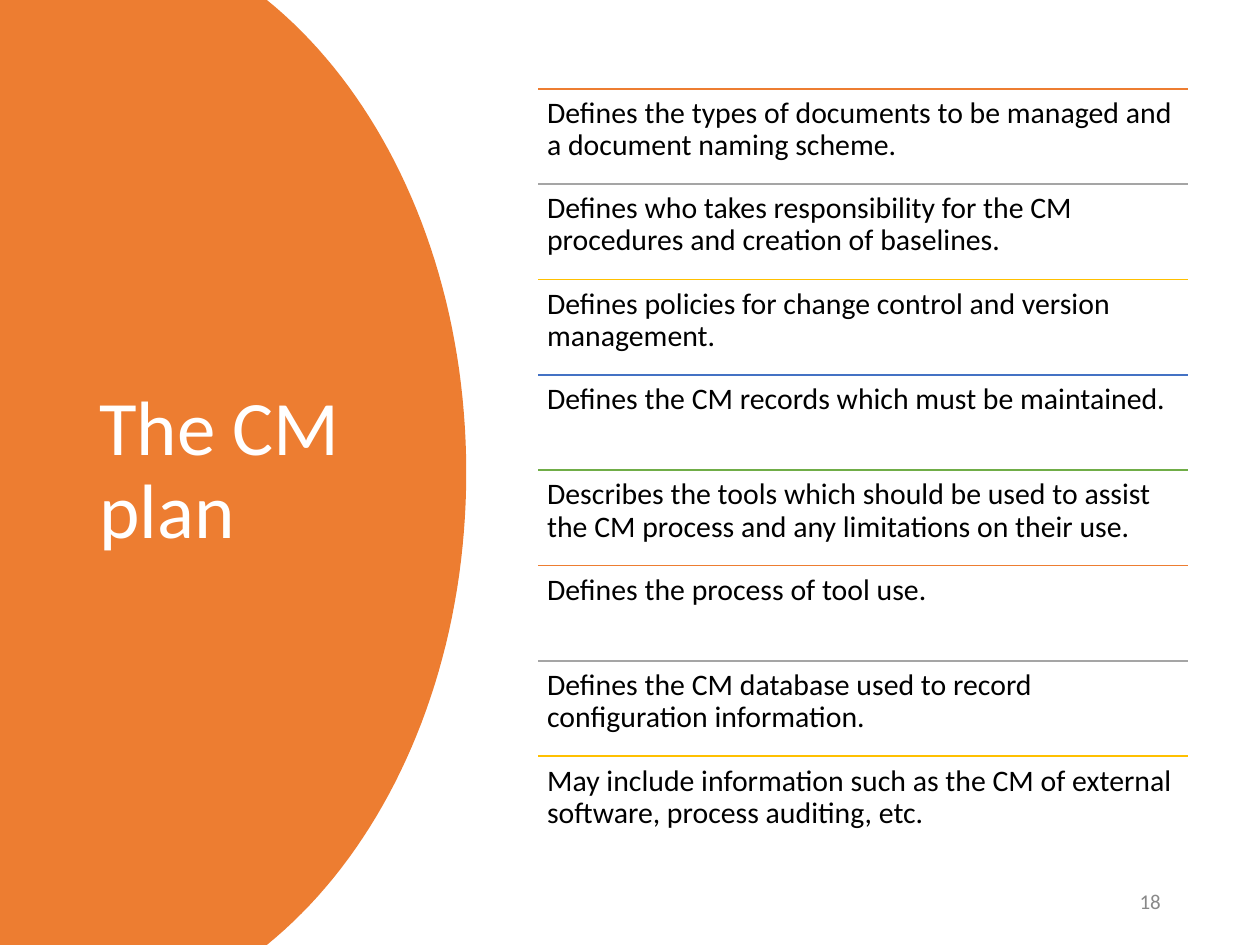
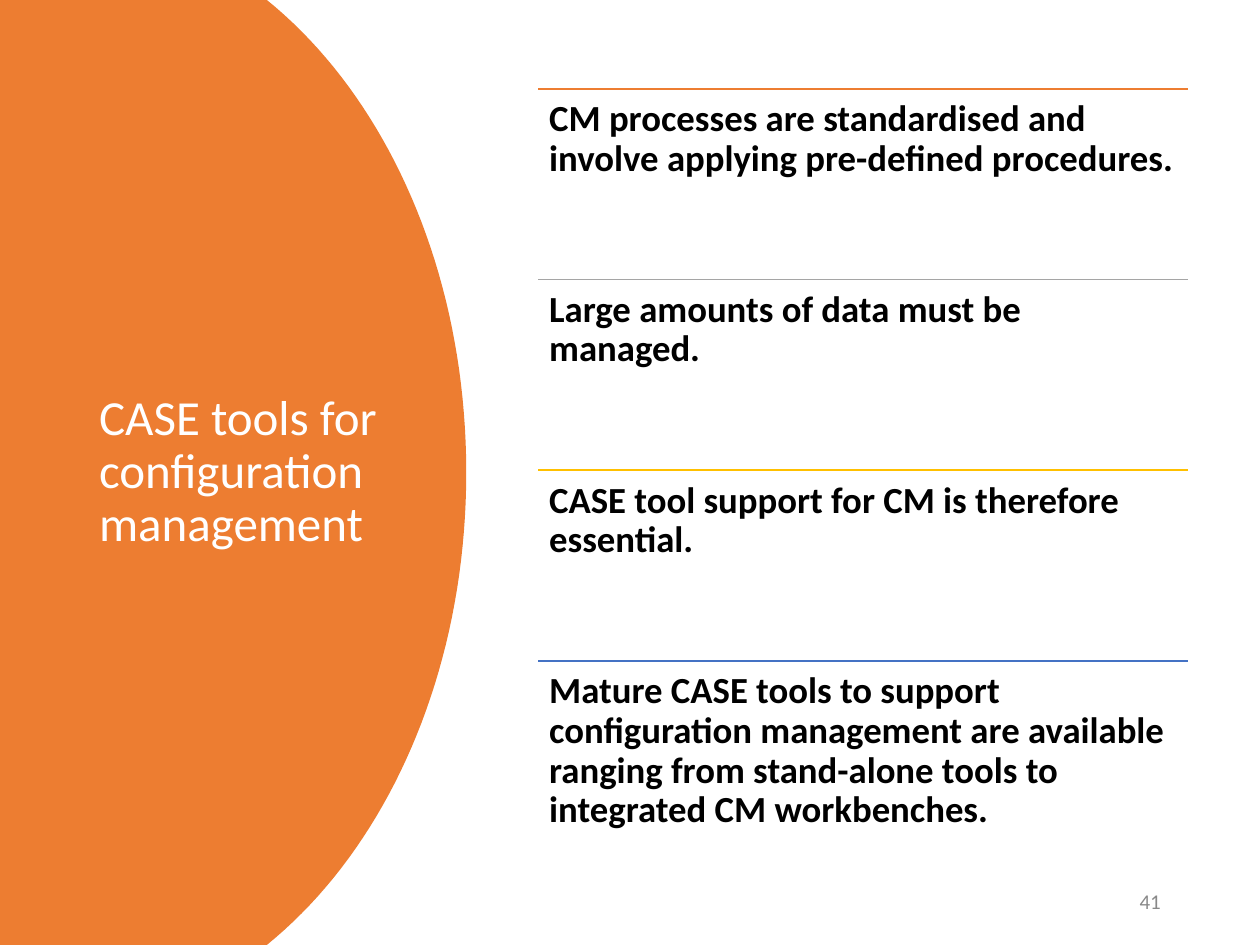
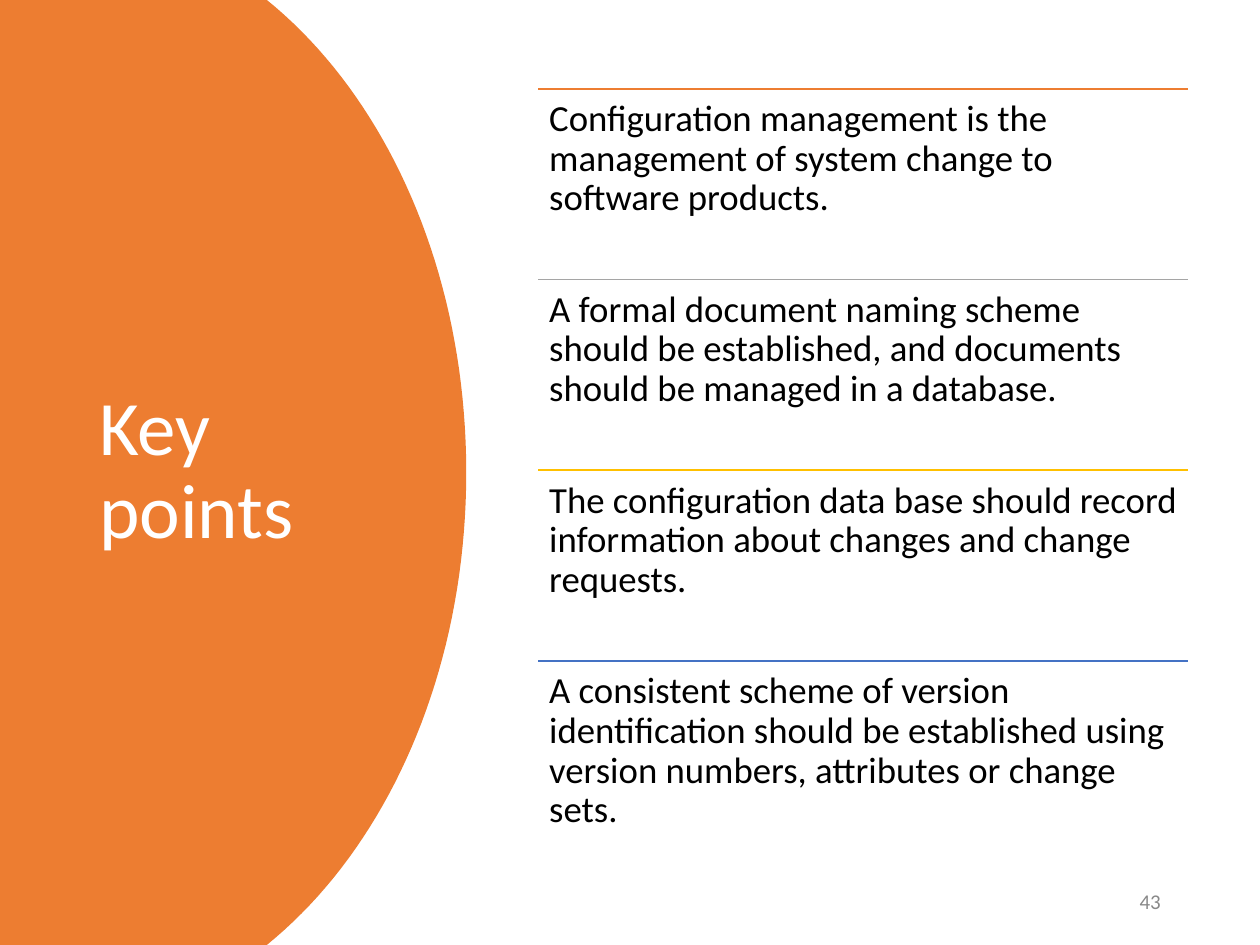
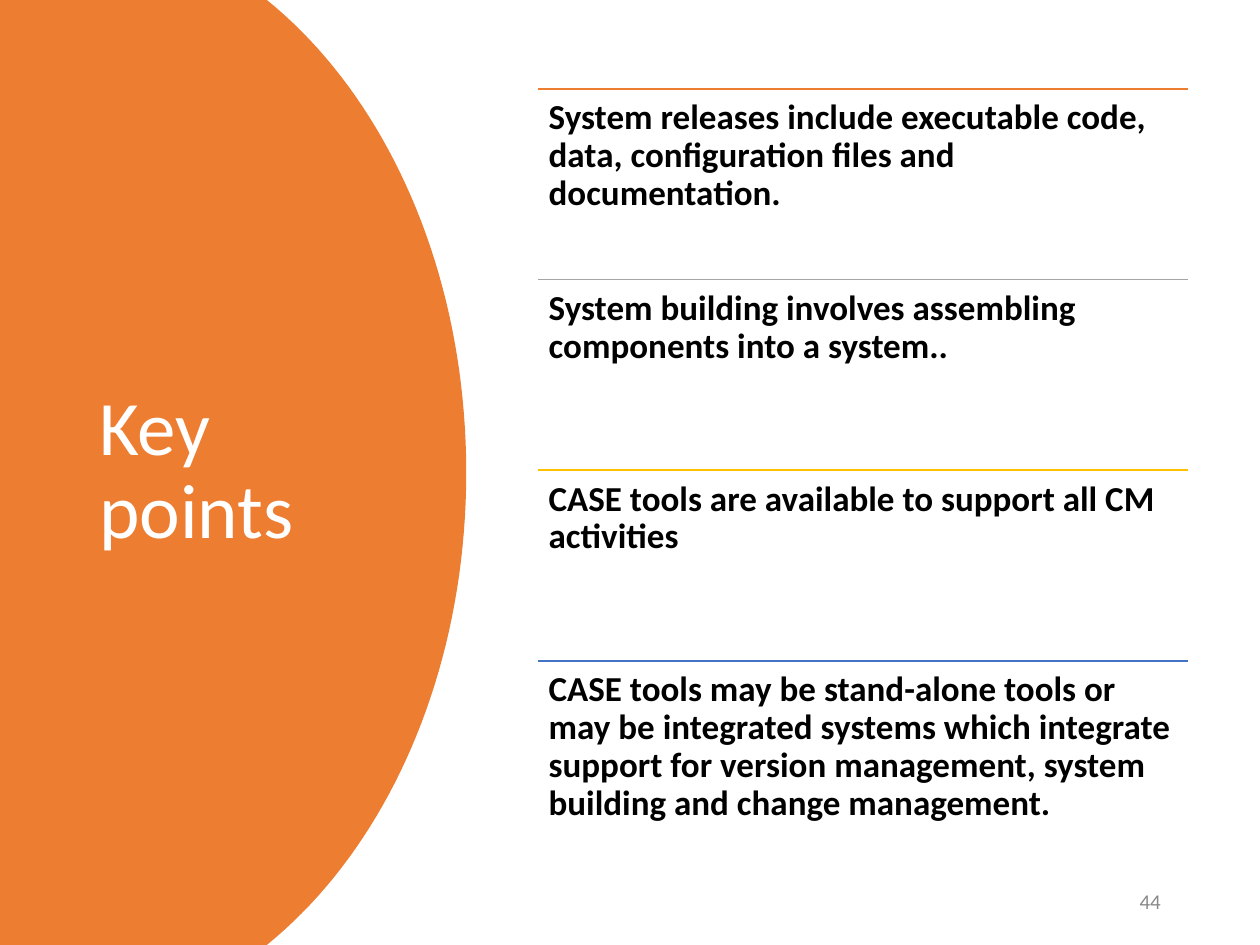
from dataclasses import dataclass
from itertools import cycle

from lxml.etree import SubElement
from pptx import Presentation
from pptx.dml.color import RGBColor
from pptx.enum.shapes import MSO_CONNECTOR
from pptx.enum.text import MSO_ANCHOR, PP_ALIGN
from pptx.oxml.ns import qn
from pptx.util import Cm, Pt

# Content
SLIDES = [
    {
        "title": "The CM plan", "title_size": 44, "number": 18,
        "point_size": 17, "bold": False,
        "points": [
            "Defines the types of documents to be managed and a document naming scheme.",
            "Defines who takes responsibility for the CM procedures and creation of baselines.",
            "Defines policies for change control and version management.",
            "Defines the CM records which must be maintained.",
            "Describes the tools which should be used to assist the CM process "
            "and any limitations on their use.",
            "Defines the process of tool use.",
            "Defines the CM database used to record configuration information.",
            "May include information such as the CM of external software, "
            "process auditing, etc.",
        ],
    },
    {
        "title": "CASE tools for configuration management", "title_size": 28, "number": 41,
        "point_size": 21, "bold": True,
        "points": [
            "CM processes are standardised and involve applying pre-defined procedures.",
            "Large amounts of data must be managed.",
            "CASE tool support for CM is therefore essential.",
            "Mature CASE tools to support configuration management are available "
            "ranging from stand-alone tools to integrated CM workbenches.",
        ],
    },
    {
        "title": "Key points", "title_size": 44, "number": 43,
        "point_size": 21, "bold": False,
        "points": [
            "Configuration management is the management of system change to software products.",
            "A formal document naming scheme should be established, "
            "and documents should be managed in a database.",
            "The configuration data base should record information about changes "
            "and change requests.",
            "A consistent scheme of version identification should be established "
            "using version numbers, attributes or change sets.",
        ],
    },
    {
        "title": "Key points", "title_size": 44, "number": 44,
        "point_size": 20, "bold": True,
        "points": [
            "System releases include executable code, data, configuration files "
            "and documentation.",
            "System building involves assembling components into a system..",
            "CASE tools are available to support all CM activities",
            "CASE tools may be stand-alone tools or may be integrated systems which "
            "integrate support for version management, system building "
            "and change management.",
        ],
    },
]


@dataclass(frozen=True)
class Theme:
    font: str = "Calibri"
    band: str = "ED7D31"
    title: str = "FFFFFF"
    point: str = "000000"
    number: str = "898989"
    rules: tuple = ("ED7D31", "A5A5A5", "FFC000", "4472C4", "70AD47")
    number_size: int = 12
    rule_width: int = 1
    line_spacing: float = 0.9
    inset_ratio: float = 0.3  # point inset as a share of its type size


THEME = Theme()

# Layout in centimetres
SLIDE_W, SLIDE_H = 25.4, 19.05
TITLE_BOX = (1.75, 1.79, 6.15, 15.46)
NUMBER_BOX = (17.94, 17.66, 5.71, 1.01)
POINTS_LEFT, POINTS_TOP, POINTS_W, POINTS_H = 10.85, 1.79, 13.1, 15.38
# Upper half of the band's edge as a Bezier curve; the lower half mirrors it
BAND_EDGE = ((5.38, 0), (7.8, 1.96), (9.4, 5.49), (9.4, SLIDE_H / 2))
EDGE_STEPS = 40


def edge_point(t):
    weights = ((1 - t) ** 3, 3 * t * (1 - t) ** 2, 3 * t * t * (1 - t), t ** 3)
    return tuple(sum(w * p[axis] for w, p in zip(weights, BAND_EDGE)) for axis in (0, 1))


def add_band(shapes):
    upper = [edge_point(step / EDGE_STEPS) for step in range(EDGE_STEPS + 1)]
    lower = [(x, SLIDE_H - y) for x, y in reversed(upper[:-1])]
    outline = [(Cm(x), Cm(y)) for x, y in upper + lower + [(0, SLIDE_H)]]
    builder = shapes.build_freeform(0, 0)
    builder.add_line_segments(outline, close=True)
    band = builder.convert_to_shape()
    band.shadow.inherit = False
    band.fill.solid()
    band.fill.fore_color.rgb = RGBColor.from_string(THEME.band)
    band.line.fill.background()


def add_text(shapes, box, text, size, color, bold=False, anchor=MSO_ANCHOR.MIDDLE):
    """Add one wrapped paragraph and return its frame and paragraph."""
    frame = shapes.add_textbox(*map(Cm, box)).text_frame
    frame.word_wrap = True
    frame.vertical_anchor = anchor
    paragraph = frame.paragraphs[0]
    paragraph.text = text
    paragraph.font.name = THEME.font
    paragraph.font.size = Pt(size)
    paragraph.font.bold = bold
    paragraph.font.color.rgb = RGBColor.from_string(color)
    return frame, paragraph


def add_rule(shapes, top, color):
    rule = shapes.add_connector(MSO_CONNECTOR.STRAIGHT, Cm(POINTS_LEFT), Cm(top),
                                Cm(POINTS_LEFT + POINTS_W), Cm(top))
    rule.line.color.rgb = RGBColor.from_string(color)
    rule.line.width = Pt(THEME.rule_width)
    SubElement(rule._element.spPr, qn("a:effectLst"))


def add_points(shapes, points, size, bold):
    row_h = POINTS_H / len(points)
    for row, (point, color) in enumerate(zip(points, cycle(THEME.rules))):
        top = POINTS_TOP + row * row_h
        add_rule(shapes, top, color)
        frame, paragraph = add_text(shapes, (POINTS_LEFT, top, POINTS_W, row_h), point,
                                    size, THEME.point, bold, MSO_ANCHOR.TOP)
        paragraph.line_spacing = THEME.line_spacing
        inset = Pt(size * THEME.inset_ratio)
        frame.margin_left = frame.margin_right = inset
        frame.margin_top = frame.margin_bottom = inset


def add_slide(deck, content):
    shapes = deck.slides.add_slide(deck.slide_layouts[6]).shapes
    add_band(shapes)

    # Title on the band
    _, title = add_text(shapes, TITLE_BOX, content["title"],
                        content["title_size"], THEME.title)
    title.line_spacing = THEME.line_spacing

    # Slide number
    _, number = add_text(shapes, NUMBER_BOX, str(content["number"]),
                         THEME.number_size, THEME.number)
    number.alignment = PP_ALIGN.RIGHT
    number.space_after = Pt(6)

    # Ruled list of points
    add_points(shapes.add_group_shape().shapes, content["points"],
               content["point_size"], content["bold"])


def main():
    deck = Presentation()
    deck.slide_width, deck.slide_height = Cm(SLIDE_W), Cm(SLIDE_H)
    for content in SLIDES:
        add_slide(deck, content)
    deck.save("out.pptx")


if __name__ == "__main__":
    main()
